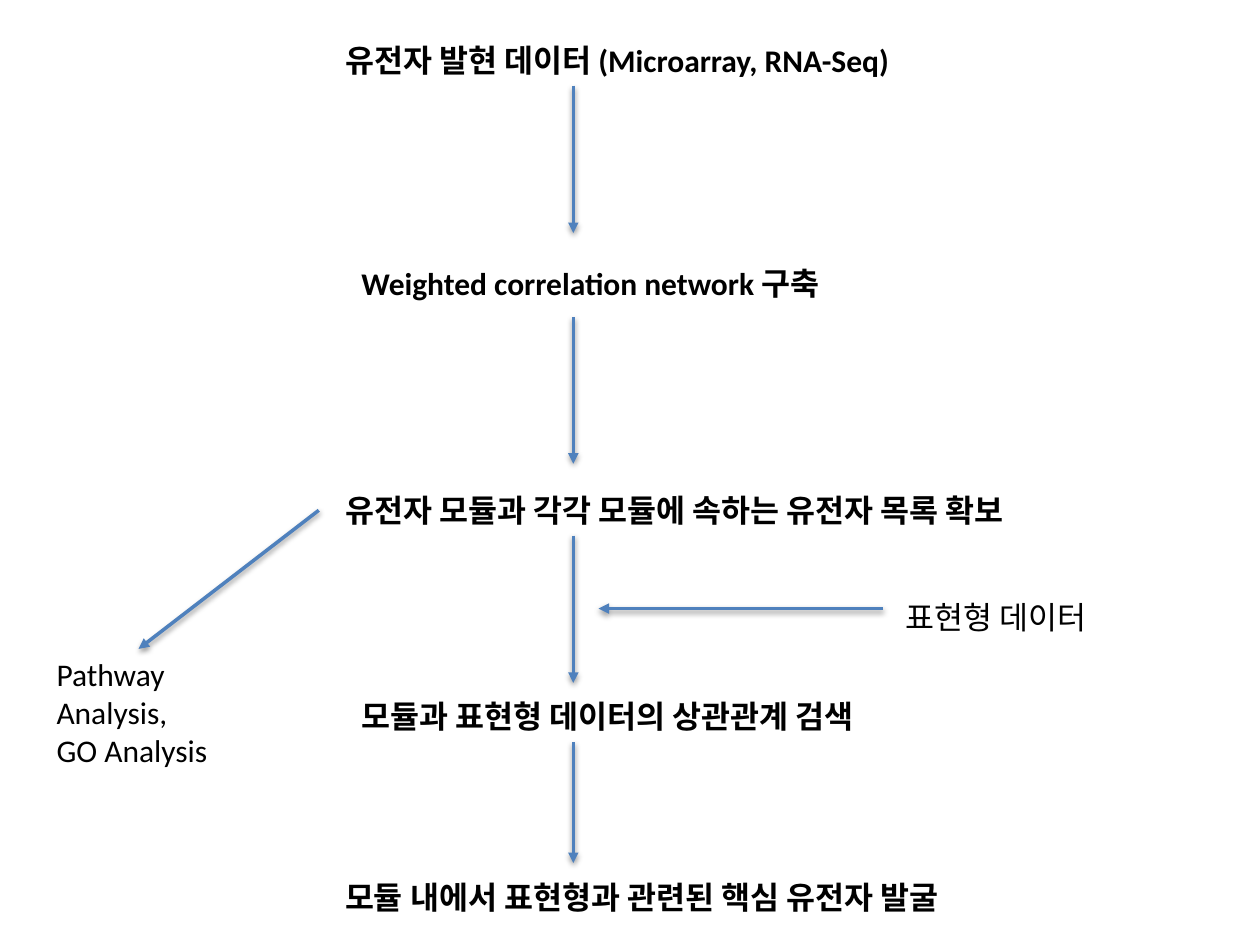
from lxml.etree import SubElement
from pptx import Presentation
from pptx.dml.color import RGBColor
from pptx.enum.shapes import MSO_CONNECTOR
from pptx.enum.text import MSO_AUTO_SIZE
from pptx.oxml.ns import qn
from pptx.util import Emu, Pt

PX = 9144
COLORS = {"text": "000000", "arrow": "4F81BD"}
AXIS = 455

STEPS = [
    (264, 28, 472, "유전자 발현 데이터 (Microarray, RNA-Seq)"),
    (277, 205, 397, "Weighted correlation network 구축"),
    (264, 385, 591, "유전자 모듈과 각각 모듈에 속하는 유전자 목록 확보"),
    (277, 548, 453, "모듈과 표현형 데이터의 상관관계 검색"),
    (264, 692, 540, "모듈 내에서 표현형과 관련된 핵심 유전자 발굴"),
]
STEP_ARROWS = [(68, 185), (252, 368), (425, 542), (589, 685)]


class FlowPage:
    font = "Calibri"
    size = Pt(18)
    stroke = Pt(2)

    def __init__(self, deck):
        self.page = deck.slides.add_slide(deck.slide_layouts[6])

    def label(self, left, top, width, height, lines, bold=False):
        box = self.page.shapes.add_textbox(*(Emu(n * PX) for n in (left, top, width, height)))
        frame = box.text_frame
        frame.word_wrap = False
        frame.auto_size = MSO_AUTO_SIZE.SHAPE_TO_FIT_TEXT
        frame.text = "\n".join(lines)
        for para in frame.paragraphs:
            para.font.name = self.font
            para.font.size = self.size
            para.font.bold = bold
            para.font.color.rgb = RGBColor.from_string(COLORS["text"])

    def arrow(self, *ends):
        arrow = self.page.shapes.add_connector(
            MSO_CONNECTOR.STRAIGHT, *(Emu(n * PX) for n in ends))
        arrow.line.width = self.stroke
        arrow.line.color.rgb = RGBColor.from_string(COLORS["arrow"])
        SubElement(arrow.line._get_or_add_ln(), qn("a:tailEnd"), type="triangle")


def main():
    deck = Presentation()
    deck.slide_width = Emu(1000 * PX)
    deck.slide_height = Emu(750 * PX)
    flow = FlowPage(deck)

    for left, top, width, text in STEPS:
        flow.label(left, top, width, 40, [text], bold=True)
    for start, end in STEP_ARROWS:
        flow.arrow(AXIS, start, AXIS, end)

    flow.arrow(253, 405, 110, 515)
    flow.label(35, 515, 141, 101, ["Pathway", "Analysis,", "GO Analysis"])
    flow.arrow(701, 483, 475, 483)
    flow.label(709, 470, 183, 40, ["표현형 데이터"])

    deck.save("out.pptx")


if __name__ == "__main__":
    main()
